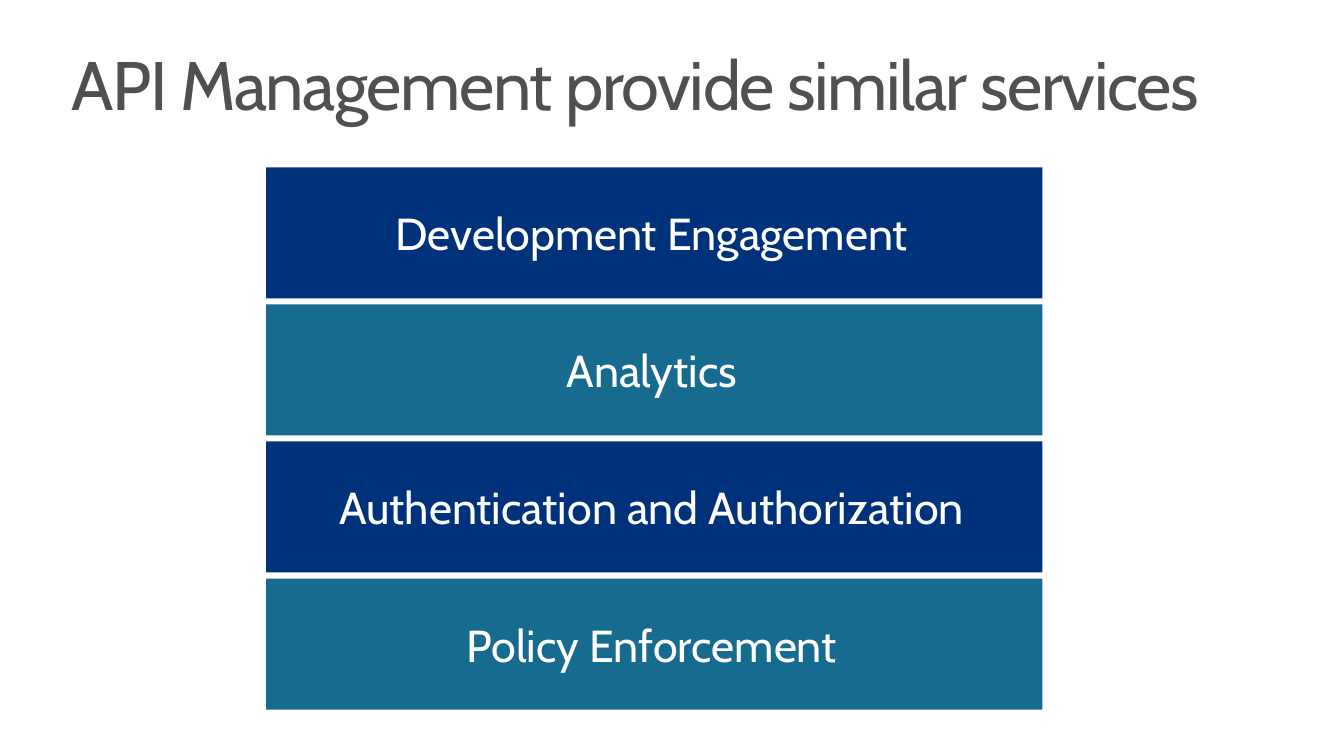
from pptx import Presentation
from pptx.dml.color import RGBColor as Rgb
from pptx.enum.shapes import MSO_SHAPE as Preset
from pptx.enum.text import MSO_ANCHOR as Anchor, PP_ALIGN as Align
from pptx.util import Inches, Pt

THEME = {
    "font": "Cabin",
    "title_color": "505050",
    "label_color": "FFFFFF",
    "bands": ["00317B", "176B8F"],
    "title_size": 49,
    "label_size": 32,
}
SERVICES = [
    "Development Engagement",
    "Analytics",
    "Authentication and Authorization",
    "Policy Enforcement",
]
STACK_LEFT, STACK_TOP, STACK_WIDTH = 2.64, 1.66, 7.7
ROW_HEIGHT, ROW_PITCH = 1.3, 1.36


def write(holder, text, size, color, align=Align.LEFT, anchor=Anchor.TOP,
          insets=(0.1, 0.05, 0.1, 0.05), line_spacing=1.0, tracking=0):
    frame = holder.text_frame
    frame.word_wrap = True
    frame.vertical_anchor = anchor
    (frame.margin_left, frame.margin_top,
     frame.margin_right, frame.margin_bottom) = map(Inches, insets)
    line = frame.paragraphs[0]
    line.alignment = align
    line.line_spacing = line_spacing
    words = line.add_run()
    words.text = text
    words.font.name = THEME["font"]
    words.font.size = Pt(size)
    words.font.color.rgb = Rgb.from_string(color)
    if tracking:
        words.font._element.set("spc", str(tracking * 100))


deck = Presentation()
deck.slide_width, deck.slide_height = Inches(13.33), Inches(7.5)
slide = deck.slides.add_slide(deck.slide_layouts[6])

for row, service in enumerate(SERVICES):
    band = slide.shapes.add_shape(
        Preset.RECTANGLE, Inches(STACK_LEFT), Inches(STACK_TOP + row * ROW_PITCH),
        Inches(STACK_WIDTH), Inches(ROW_HEIGHT))
    band.shadow.inherit = False
    band.fill.solid()
    band.fill.fore_color.rgb = Rgb.from_string(THEME["bands"][row % 2])
    band.line.fill.background()
    write(band, service, THEME["label_size"], THEME["label_color"],
          align=Align.CENTER, anchor=Anchor.MIDDLE, insets=(0.15, 0, 0.2, 0))

title = slide.shapes.add_textbox(Inches(0.61), Inches(0.46), Inches(12.12), Inches(1.45))
write(title, "API Management provide similar services", THEME["title_size"],
      THEME["title_color"], line_spacing=0.9, tracking=-1)

deck.save("out.pptx")
